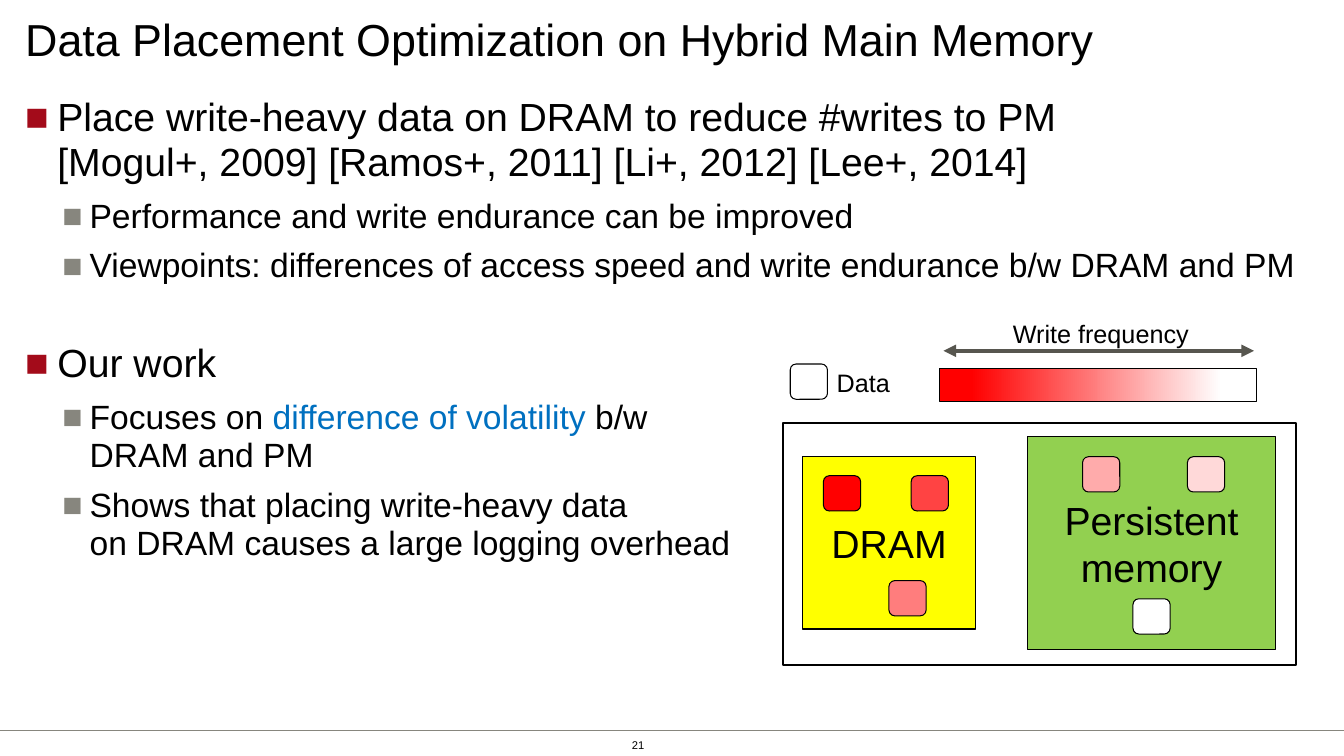
import lxml.etree
import pptx
import pptx.dml.color
import pptx.enum.shapes
import pptx.enum.text
import pptx.oxml.ns
import pptx.util

Pt = pptx.util.Pt
RGB = pptx.dml.color.RGBColor.from_string
qn = pptx.oxml.ns.qn
SHAPE = pptx.enum.shapes.MSO_SHAPE
STRAIGHT = pptx.enum.shapes.MSO_CONNECTOR.STRAIGHT
LEFT = pptx.enum.text.PP_ALIGN.LEFT
CENTER = pptx.enum.text.PP_ALIGN.CENTER
MIDDLE = pptx.enum.text.MSO_ANCHOR.MIDDLE
TOP = pptx.enum.text.MSO_ANCHOR.TOP


class Theme:
    font = "Arial"
    title, level_sizes, label, number = 32, (28, 24), 18, 8
    black, white, accent = "000000", "FFFFFF", "0070C0"
    bullets = ("A30B1A", "87867E")
    rule, arrow = "87867E", "57564F"
    hot, dram, persistent = "FF0000", "FFFF00", "92D050"


def write_text(frame, text, size, align=LEFT, anchor=TOP, inset=None, wrap=True, level=None):
    """Append one paragraph; \\n breaks a line and |bars| enclose accent words."""
    frame.auto_size = pptx.enum.text.MSO_AUTO_SIZE.NONE
    frame.word_wrap = wrap
    frame.vertical_anchor = anchor
    if inset is not None:
        frame.margin_left = frame.margin_top = frame.margin_right = frame.margin_bottom = Pt(inset)
    paragraph = frame.paragraphs[0] if not frame.text else frame.add_paragraph()
    paragraph.alignment = align
    for position, segment in enumerate(text.split("|")):
        for line_number, line in enumerate(segment.split("\n")):
            if line_number:
                paragraph.add_line_break()
            run = paragraph.add_run()
            run.text = line
            run.font.name = Theme.font
            run.font.size = Pt(size)
            run.font.color.rgb = RGB(Theme.accent if position % 2 else Theme.black)
    if level is not None:
        paragraph.level = level
        paragraph.line_spacing = 0.95
        paragraph.space_before = Pt(round(size * 0.23, 1))
        paragraph.space_after = Pt(round(size * 0.115, 1))
        properties = paragraph._p.get_or_add_pPr()
        properties.set("marL", str(Pt((23, 46)[level])))
        properties.set("indent", str(-Pt((23, 19.5)[level])))
        color = lxml.etree.SubElement(properties, qn("a:buClr"))
        lxml.etree.SubElement(color, qn("a:srgbClr"), val=Theme.bullets[level])
        lxml.etree.SubElement(properties, qn("a:buFont"), typeface=Theme.font)
        lxml.etree.SubElement(properties, qn("a:buChar"), char="■")


def add_box(kind, left, top, width, height, fill=None, line_width=0.75):
    shape = slide.shapes.add_shape(kind, Pt(left), Pt(top), Pt(width), Pt(height))
    shape.shadow.inherit = False
    shape.line.color.rgb = RGB(Theme.black)
    shape.line.width = Pt(line_width)
    if fill:
        shape.fill.solid()
        shape.fill.fore_color.rgb = RGB(fill)
    else:
        shape.fill.background()
    return shape


presentation = pptx.Presentation()
presentation.slide_width, presentation.slide_height = Pt(960), Pt(540)
slide = presentation.slides.add_slide(presentation.slide_layouts[3])
title, findings, our_work = slide.placeholders

# Title and lists
for placeholder, bounds in (
    (title, (18, 0, 825, 54.7)),
    (findings, (18, 68.4, 922.3, 147.6)),
    (our_work, (18, 244, 509.8, 179.3)),
):
    placeholder.left, placeholder.top, placeholder.width, placeholder.height = map(Pt, bounds)

write_text(title.text_frame, "Data Placement Optimization on Hybrid Main Memory",
           Theme.title, anchor=MIDDLE, inset=0)

for placeholder, level, text in (
    (findings, 0, "Place write-heavy data on DRAM to reduce #writes to PM\n"
                  "[Mogul+, 2009] [Ramos+, 2011] [Li+, 2012] [Lee+, 2014]"),
    (findings, 1, "Performance and write endurance can be improved"),
    (findings, 1, "Viewpoints: differences of access speed and write endurance b/w DRAM and PM"),
    (our_work, 0, "Our work"),
    (our_work, 1, "Focuses on |difference of volatility| b/w DRAM and PM"),
    (our_work, 1, "Shows that placing write-heavy data \non DRAM causes a large logging overhead"),
):
    write_text(placeholder.text_frame, text, Theme.level_sizes[level], inset=0, level=level)

# Memory areas inside the hybrid main memory frame
persistent = add_box(SHAPE.RECTANGLE, 733.7, 311.8, 177.8, 151.9, Theme.persistent)
dram = add_box(SHAPE.RECTANGLE, 573.1, 326.2, 123.8, 123.1, Theme.dram)
for area, text in ((persistent, "Persistent"), (persistent, "memory"), (dram, "DRAM")):
    write_text(area.text_frame, text, Theme.level_sizes[0], align=CENTER, anchor=MIDDLE, wrap=False)
add_box(SHAPE.RECTANGLE, 559.4, 302.4, 366.5, 172.8, line_width=1.5)

# Write frequency scale
scale = add_box(SHAPE.RECTANGLE, 671, 263.5, 226.8, 23)
scale.fill.gradient()
scale.fill.gradient_angle = 0
for stop, position, color in zip(scale.fill.gradient_stops, (0.1, 0.89), (Theme.hot, Theme.white)):
    stop.position = position
    stop.color.rgb = RGB(color)

# Labels and slide number
for text, size, align, inset, bounds in (
    ("Write frequency", Theme.label, CENTER, None, (700.6, 224.6, 171.4, 27.4)),
    ("Data", Theme.label, CENTER, None, (581, 259.2, 71.3, 27.4)),
    ("21", Theme.number, LEFT, 0, (451.4, 524.2, 56.9, 15.8)),
):
    box = slide.shapes.add_textbox(*map(Pt, bounds))
    write_text(box.text_frame, text, size, align=align, anchor=MIDDLE, inset=inset)

# Footer rule and frequency arrow
for start, end, height, color, width, arrowheads in (
    (0, 960, 522, Theme.rule, 1, ()),
    (673.9, 895.7, 250.6, Theme.arrow, 3, ("a:headEnd", "a:tailEnd")),
):
    connector = slide.shapes.add_connector(STRAIGHT, Pt(start), Pt(height), Pt(end), Pt(height))
    connector.line.color.rgb = RGB(color)
    connector.line.width = Pt(width)
    for arrowhead in arrowheads:
        lxml.etree.SubElement(connector.line._get_or_add_ln(), qn(arrowhead), type="triangle")
    lxml.etree.SubElement(connector._element.spPr, qn("a:effectLst"))

# Data items, coloured by write frequency
for left, top, color in (
    (564.5, 260, Theme.white),
    (588.2, 339.8, Theme.hot),
    (650.9, 339.8, "FF4343"),
    (635, 414.7, "FF7D7D"),
    (773.3, 326.2, "FFABAB"),
    (848.2, 326.2, "FFD9D9"),
    (809.3, 427.7, Theme.white),
):
    add_box(SHAPE.ROUNDED_RECTANGLE, left, top, 26.6, 25.2, color)

presentation.save("out.pptx")
